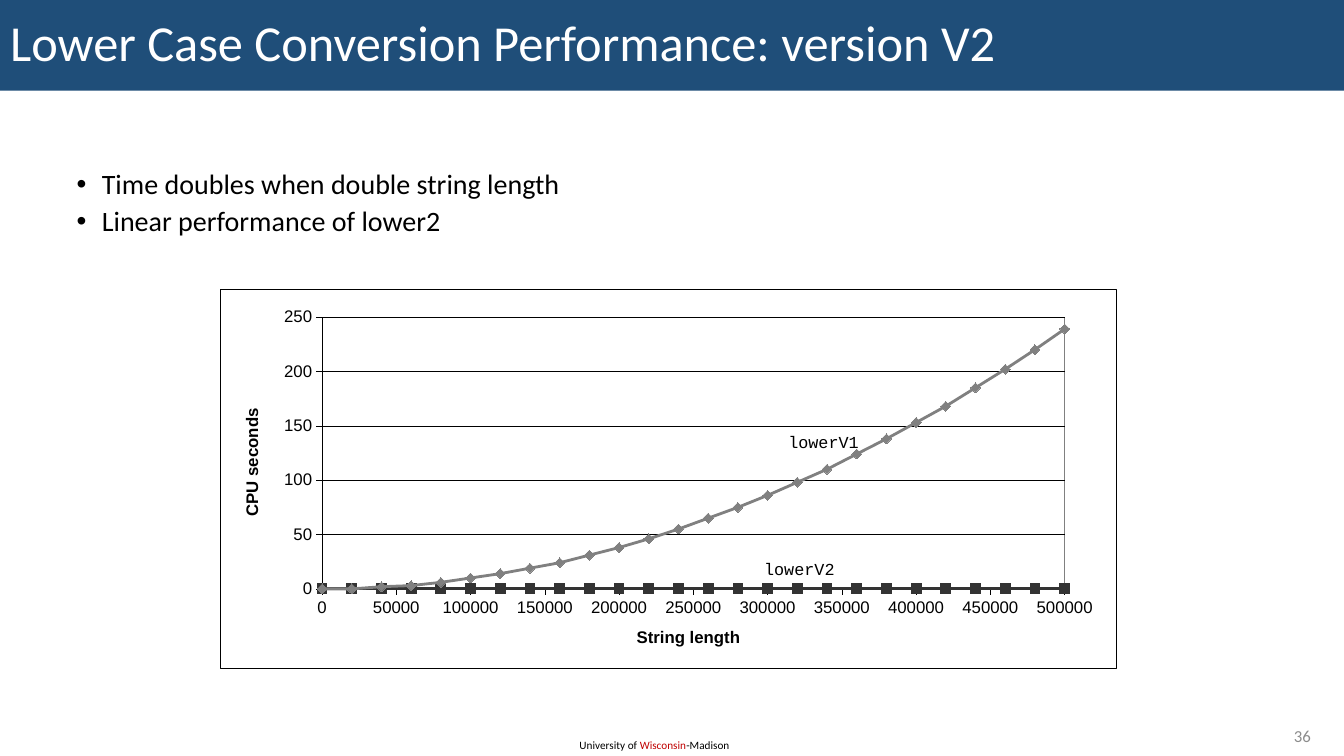
from dataclasses import dataclass
from typing import Any

from lxml.etree import SubElement
from pptx import Presentation
from pptx.chart.data import XyChartData
from pptx.dml.color import RGBColor
from pptx.enum.chart import XL_CHART_TYPE, XL_MARKER_STYLE, XL_TICK_MARK
from pptx.enum.text import MSO_ANCHOR, MSO_AUTO_SIZE, PP_ALIGN
from pptx.oxml import parse_xml
from pptx.oxml.ns import nsdecls, qn
from pptx.util import Emu, Inches, Pt

SLIDE_WIDTH, SLIDE_HEIGHT = Inches(13.33), Inches(7.5)
BLACK = RGBColor(0x00, 0x00, 0x00)
WHITE = RGBColor(0xFF, 0xFF, 0xFF)
NAVY = RGBColor(0x1F, 0x4E, 0x79)
RED = RGBColor(0xC0, 0x00, 0x00)
PAGE_GRAY = RGBColor(0x8C, 0x8C, 0x8C)
MID_GRAY = RGBColor(0x80, 0x80, 0x80)
DARK_GRAY = RGBColor(0x33, 0x33, 0x33)
HAIRLINE = Pt(0.25)


@dataclass(frozen=True)
class Box:
    """A frame in percent of the slide's width and height."""
    left: float
    top: float
    width: float
    height: float

    def lengths(self) -> tuple[Emu, Emu, Emu, Emu]:
        """Return the frame as slide lengths."""
        return (Emu(int(SLIDE_WIDTH * self.left / 100)), Emu(int(SLIDE_HEIGHT * self.top / 100)),
                Emu(int(SLIDE_WIDTH * self.width / 100)), Emu(int(SLIDE_HEIGHT * self.height / 100)))


@dataclass(frozen=True)
class Curve:
    """One measured function of the chart."""
    name: str
    seconds: list[int]
    color: RGBColor
    marker: Any


@dataclass(frozen=True)
class CurveLabel:
    """The name written beside a curve."""
    text: str
    box: Box


STRING_LENGTHS = range(0, 500001, 20000)
CURVES = [
    Curve("Series 1", [0, 0, 2, 3, 6, 10, 14, 19, 24, 31, 38, 46, 55, 65, 75, 86, 98, 110,
                       124, 138, 153, 168, 185, 202, 220, 239], MID_GRAY, XL_MARKER_STYLE.DIAMOND),
    Curve("Series 2", [0] * len(STRING_LENGTHS), DARK_GRAY, XL_MARKER_STYLE.SQUARE),
]
CURVE_LABELS = [
    CurveLabel("lowerV1", Box(58.43, 56.67, 5.63, 3.2)),
    CurveLabel("lowerV2", Box(56.63, 73.47, 5.63, 3.2)),
]
BULLETS = ["Time doubles when double string length", "Linear performance of lower2"]
PLOT_PERCENT = {"x": 11.4, "y": 7.3, "w": 82.9, "h": 71.8}


def write(paragraph: Any, text: str, *, size: float, font: str = "Calibri",
          color: RGBColor = BLACK, bold: bool = False) -> None:
    """Append a formatted run to a paragraph."""
    run = paragraph.add_run()
    run.text = text
    run.font.size = Pt(size)
    run.font.name = font
    run.font.bold = bold
    run.font.color.rgb = color


def place(shape: Any, box: Box) -> None:
    """Move a shape into a frame."""
    shape.left, shape.top, shape.width, shape.height = box.lengths()


def add_text_frame(slide: Any, box: Box) -> Any:
    """Add a text box and return its text frame."""
    return slide.shapes.add_textbox(*box.lengths()).text_frame


def fill_title(title: Any) -> None:
    """Turn the title placeholder into the banner."""
    place(title, Box(0, 0, 100, 12))
    title.fill.solid()
    title.fill.fore_color.rgb = NAVY
    title.text_frame.vertical_anchor = MSO_ANCHOR.MIDDLE
    paragraph = title.text_frame.paragraphs[0]
    paragraph.alignment = PP_ALIGN.LEFT
    paragraph.line_spacing = 0.9
    write(paragraph, "Lower Case Conversion Performance: version V2", size=36, color=WHITE)


def fill_body(body: Any) -> None:
    """Write the bullets into the body placeholder."""
    place(body, Box(1.2, 21.87, 98.1, 71.87))
    for index, bullet in enumerate(BULLETS):
        paragraph = body.text_frame.add_paragraph() if index else body.text_frame.paragraphs[0]
        paragraph.level = 1
        paragraph.line_spacing = 0.9
        paragraph.space_before = Pt(5)
        write(paragraph, bullet, size=20)
        properties = paragraph._p.get_or_add_pPr()
        properties.set("marL", str(Inches(0.75)))
        properties.set("indent", str(Inches(-0.25)))
        SubElement(properties, qn("a:buFont"), typeface="Arial")
        SubElement(properties, qn("a:buChar"), char="•")


def area_format(line: RGBColor, fill: str) -> Any:
    """Build the outline and fill of a chart area."""
    return parse_xml(f'<c:spPr {nsdecls("c", "a")}>{fill}<a:ln w="{HAIRLINE}"><a:solidFill>'
                     f'<a:srgbClr val="{line}"/></a:solidFill></a:ln></c:spPr>')


def format_axis(axis: Any, title: str, maximum: int, step: int) -> None:
    """Set the scale, lines and title of an axis."""
    axis.minimum_scale, axis.maximum_scale, axis.major_unit = 0, maximum, step
    axis.major_tick_mark, axis.minor_tick_mark = XL_TICK_MARK.OUTSIDE, XL_TICK_MARK.NONE
    axis.format.line.color.rgb = BLACK
    axis.format.line.width = HAIRLINE
    axis.tick_labels.number_format = "General"
    axis.tick_labels.number_format_is_linked = False
    write(axis.axis_title.text_frame.paragraphs[0], title, size=12, font="Arial", bold=True)


def format_areas(chart: Any) -> None:
    """Frame the chart and fix the place of its plot."""
    plot_area = chart._chartSpace.chart.plotArea
    for old_layout in plot_area.findall(qn("c:layout")):
        plot_area.remove(old_layout)
    shares = "".join(f'<c:{key} val="{value / 100:.3f}"/>' for key, value in PLOT_PERCENT.items())
    plot_area.insert(0, parse_xml(
        f'<c:layout {nsdecls("c")}><c:manualLayout><c:layoutTarget val="inner"/>'
        f'<c:xMode val="edge"/><c:yMode val="edge"/>{shares}</c:manualLayout></c:layout>'))
    plot_area.append(area_format(MID_GRAY, "<a:noFill/>"))
    white_fill = f'<a:solidFill><a:srgbClr val="{WHITE}"/></a:solidFill>'
    chart._chartSpace.chart.addnext(area_format(BLACK, white_fill))


def add_performance_chart(slide: Any) -> None:
    """Add the chart of CPU seconds against string length."""
    data = XyChartData()
    for curve in CURVES:
        series = data.add_series(curve.name)
        for length, seconds in zip(STRING_LENGTHS, curve.seconds):
            series.add_data_point(length, seconds)
    box = Box(16.35, 38.27, 66.68, 50.13)
    chart = slide.shapes.add_chart(XL_CHART_TYPE.XY_SCATTER_SMOOTH, *box.lengths(), data).chart
    chart.has_legend = chart.has_title = False
    chart.font.size, chart.font.name = Pt(12), "Arial"
    chart.font.color.rgb = BLACK
    format_axis(chart.category_axis, "String length", 500000, 50000)
    format_axis(chart.value_axis, "CPU seconds", 250, 50)
    chart.category_axis.has_major_gridlines = False
    chart.value_axis.has_major_gridlines = True
    gridline = chart.value_axis.major_gridlines.format.line
    gridline.color.rgb, gridline.width = BLACK, HAIRLINE
    chart.plots[0].vary_by_categories = False
    for series, curve in zip(chart.plots[0].series, CURVES):
        series.format.line.color.rgb = curve.color
        series.format.line.width = Pt(2)
        series.marker.style, series.marker.size = curve.marker, 7
        series.marker.format.fill.solid()
        series.marker.format.fill.fore_color.rgb = curve.color
        series.marker.format.line.color.rgb = curve.color
    format_areas(chart)


def main() -> None:
    """Build and save the slide."""
    presentation = Presentation()
    presentation.slide_width, presentation.slide_height = SLIDE_WIDTH, SLIDE_HEIGHT
    slide = presentation.slides.add_slide(presentation.slide_layouts[1])
    fill_title(slide.shapes.title)
    fill_body(slide.placeholders[1])

    footer = add_text_frame(slide, Box(42.38, 97.07, 12.9, 3.2)).paragraphs[0]
    for text, color in (("University of ", BLACK), ("Wisconsin", RED), ("-Madison", BLACK)):
        write(footer, text, size=8, color=color)

    page_number = add_text_frame(slide, Box(92.57, 95.33, 5.7, 4))
    page_number.vertical_anchor = MSO_ANCHOR.MIDDLE
    page_number.paragraphs[0].alignment = PP_ALIGN.RIGHT
    write(page_number.paragraphs[0], "36", size=12, color=PAGE_GRAY)

    add_performance_chart(slide)
    for label in CURVE_LABELS:
        frame = add_text_frame(slide, label.box)
        frame.word_wrap = False
        frame.auto_size = MSO_AUTO_SIZE.SHAPE_TO_FIT_TEXT
        frame.margin_left = frame.margin_top = Inches(0.03)
        frame.margin_right = frame.margin_bottom = 0
        write(frame.paragraphs[0], label.text, size=12, font="Courier New")
    presentation.save("out.pptx")


if __name__ == "__main__":
    main()
